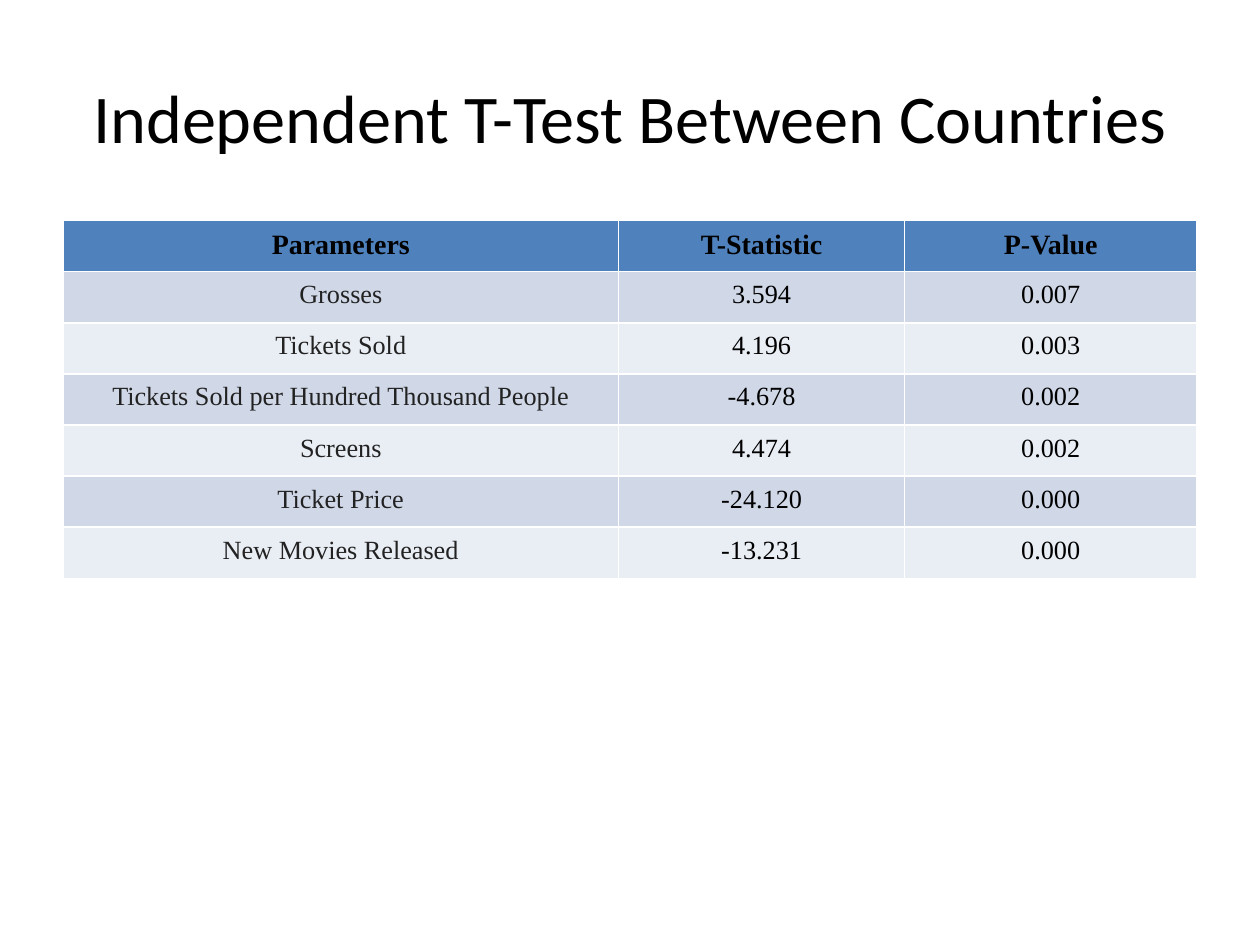
"""Build a slide with a table of independent t-test results between countries."""
from pptx import Presentation
from pptx.dml.color import RGBColor
from pptx.enum.text import MSO_ANCHOR, PP_ALIGN
from pptx.util import Inches, Pt

COLORS = {
    "text": "000000",
    "parameter": "222222",
    "header": "4F81BD",
    "odd": "D0D8E8",
    "even": "E9EDF4",
}
RESULTS = [
    ("Parameters", "T-Statistic", "P-Value"),
    ("Grosses", "3.594", "0.007"),
    ("Tickets Sold", "4.196", "0.003"),
    ("Tickets Sold per Hundred Thousand People", "-4.678", "0.002"),
    ("Screens", "4.474", "0.002"),
    ("Ticket Price", "-24.120", "0.000"),
    ("New Movies Released", "-13.231", "0.000"),
]
COLUMN_WIDTHS = [4.41, 2.27, 2.32]
TABLE_HEIGHT = 2.84


def write(paragraph, text, font_name, size, color, bold=False):
    paragraph.text = text
    paragraph.alignment = PP_ALIGN.CENTER
    paragraph.font.name = font_name
    paragraph.font.size = Pt(size)
    paragraph.font.bold = bold
    paragraph.font.color.rgb = RGBColor.from_string(COLORS[color])


prs = Presentation()
prs.slide_width = Inches(10)
prs.slide_height = Inches(7.5)
slide = prs.slides.add_slide(prs.slide_layouts[6])

heading = slide.shapes.add_textbox(
    Inches(0.5), Inches(0.3), Inches(9), Inches(1.25)
).text_frame
heading.word_wrap = True
heading.vertical_anchor = MSO_ANCHOR.MIDDLE
write(heading.paragraphs[0], "Independent T-Test Between Countries", "Calibri", 39, "text")

results_table = slide.shapes.add_table(
    len(RESULTS), len(COLUMN_WIDTHS),
    Inches(0.5), Inches(1.75), Inches(9), Inches(TABLE_HEIGHT),
).table
for column, width in zip(results_table.columns, COLUMN_WIDTHS):
    column.width = Inches(width)

for row, values in enumerate(RESULTS):
    is_header = row == 0
    band = "header" if is_header else "odd" if row % 2 else "even"
    for col, value in enumerate(values):
        cell = results_table.cell(row, col)
        cell.fill.solid()
        cell.fill.fore_color.rgb = RGBColor.from_string(COLORS[band])
        cell.margin_left = cell.margin_right = Inches(0.07)
        cell.margin_top = cell.margin_bottom = Inches(0.07)
        color = "parameter" if col == 0 and not is_header else "text"
        write(cell.text_frame.paragraphs[0], value, "Times New Roman",
              16 if is_header else 15, color, is_header)

prs.save("out.pptx")
